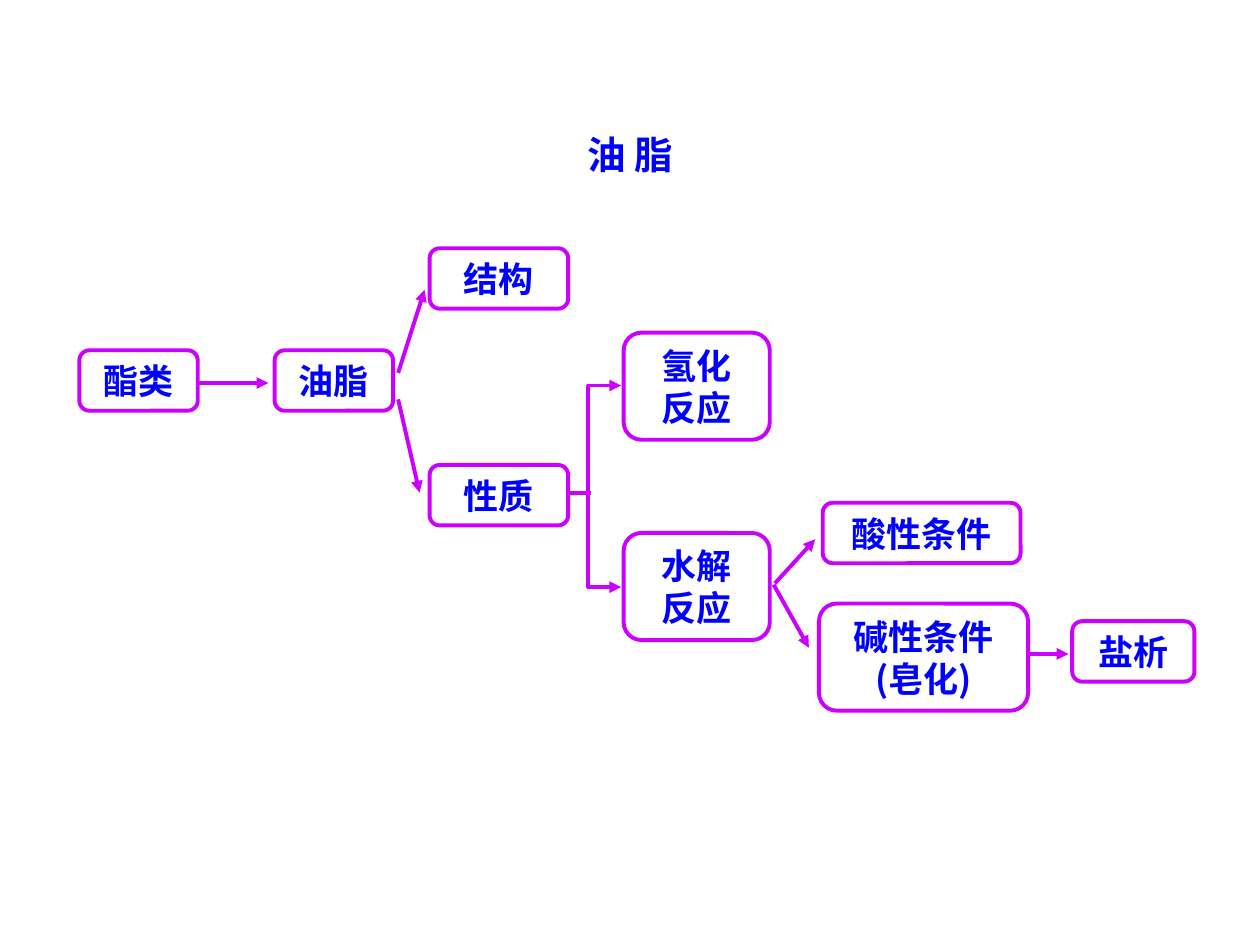
from lxml.etree import SubElement
from pptx import Presentation
from pptx.dml.color import RGBColor
from pptx.enum.shapes import MSO_CONNECTOR as Link, MSO_SHAPE as Preset
from pptx.enum.text import MSO_ANCHOR as Anchor, PP_ALIGN as Align
from pptx.oxml.ns import qn
from pptx.util import Inches, Pt

FONT = "Noto Sans CJK SC"
BLUE, PURPLE = "0000FF", "CC00FF"
ROW, DOUBLE_ROW = 0.48, 0.85

TOPICS = [
    ("酯类", 0.63, 2.78, 0.94),
    ("油脂", 2.18, 2.78, 0.94),
    ("结构", 3.41, 1.97, 1.1),
    ("性质", 3.41, 3.69, 1.1),
    ("氢化\n反应", 4.95, 2.64, 1.16),
    ("水解\n反应", 4.95, 4.23, 1.16),
    ("酸性条件", 6.53, 3.99, 1.57),
    ("碱性条件\n(皂化)", 6.5, 4.79, 1.66),
    ("盐析", 8.51, 4.93, 0.97),
]
ARROWS = [
    (1.57, 3.04, 2.13, 3.04),
    (3.16, 2.96, 3.37, 2.3),
    (3.16, 3.17, 3.33, 3.91),
    (6.15, 4.63, 6.47, 4.28),
    (6.14, 4.64, 6.42, 5.14),
    (8.17, 5.19, 8.48, 5.19),
]


def color(hex_code):
    """Return the colour for a hex string."""
    return RGBColor.from_string(hex_code)


def write(frame, text, size):
    """Fill a text frame with centred bold blue lines."""
    frame.word_wrap = True
    frame.vertical_anchor = Anchor.MIDDLE
    frame.text = text
    for paragraph in frame.paragraphs:
        paragraph.alignment = Align.CENTER
        if len(frame.paragraphs) > 1:
            paragraph.line_spacing = Pt(24)
        font = paragraph.font
        font.size, font.bold, font.name = Pt(size), True, FONT
        font.color.rgb = color(BLUE)
        defaults = paragraph._p.pPr.find(qn("a:defRPr"))
        SubElement(defaults, qn("a:ea"), typeface=FONT)


def outline(shape, *arrow_ends):
    """Draw a purple line with triangles at the named ends."""
    shape.line.color.rgb = color(PURPLE)
    shape.line.width = Pt(2.25)
    ln = shape._element.spPr.find(qn("a:ln"))
    for end in arrow_ends:
        SubElement(ln, qn(f"a:{end}"), type="triangle")


def add_title(slide, left, top, width, height):
    """Place the slide title in the given box."""
    title = slide.shapes.title
    title.left, title.top = Inches(left), Inches(top)
    title.width, title.height = Inches(width), Inches(height)
    write(title.text_frame, "油 脂", 22)


def add_topic(slide, text, left, top, width):
    """Add a rounded topic box, taller when it has two lines."""
    height = DOUBLE_ROW if "\n" in text else ROW
    topic = slide.shapes.add_shape(
        Preset.ROUNDED_RECTANGLE, Inches(left), Inches(top), Inches(width), Inches(height))
    topic.shadow.inherit = False
    topic.fill.background()
    outline(topic)
    write(topic.text_frame, text, 20)


def add_link(slide, x1, y1, x2, y2, *arrow_ends):
    """Add a straight line between two points."""
    link = slide.shapes.add_connector(
        Link.STRAIGHT, Inches(x1), Inches(y1), Inches(x2), Inches(y2))
    outline(link, *arrow_ends)
    SubElement(link._element.spPr, qn("a:effectLst"))


def add_fork(slide, left, top, width, height):
    """Add a bracket pointing at two reactions, with its stem from the property box."""
    right, bottom = left + width, top + height
    builder = slide.shapes.build_freeform(Inches(right), Inches(top))
    corners = [(left, top), (left, bottom), (right, bottom)]
    builder.add_line_segments([(Inches(x), Inches(y)) for x, y in corners], close=False)
    bracket = builder.convert_to_shape()
    bracket.shadow.inherit = False
    bracket.fill.background()
    outline(bracket, "headEnd", "tailEnd")
    add_link(slide, left - 0.18, 3.91, left + 0.02, 3.91)


def main():
    """Build the concept map of fats and oils."""
    deck = Presentation()
    deck.slide_width, deck.slide_height = Inches(10), Inches(7.5)
    slide = deck.slides.add_slide(deck.slide_layouts[5])
    add_title(slide, 2.97, 0.99, 4.06, 0.47)
    for topic in TOPICS:
        add_topic(slide, *topic)
    for arrow in ARROWS:
        add_link(slide, *arrow, "tailEnd")
    add_fork(slide, 4.67, 3.06, 0.26, 1.6)
    deck.save("out.pptx")


if __name__ == "__main__":
    main()
